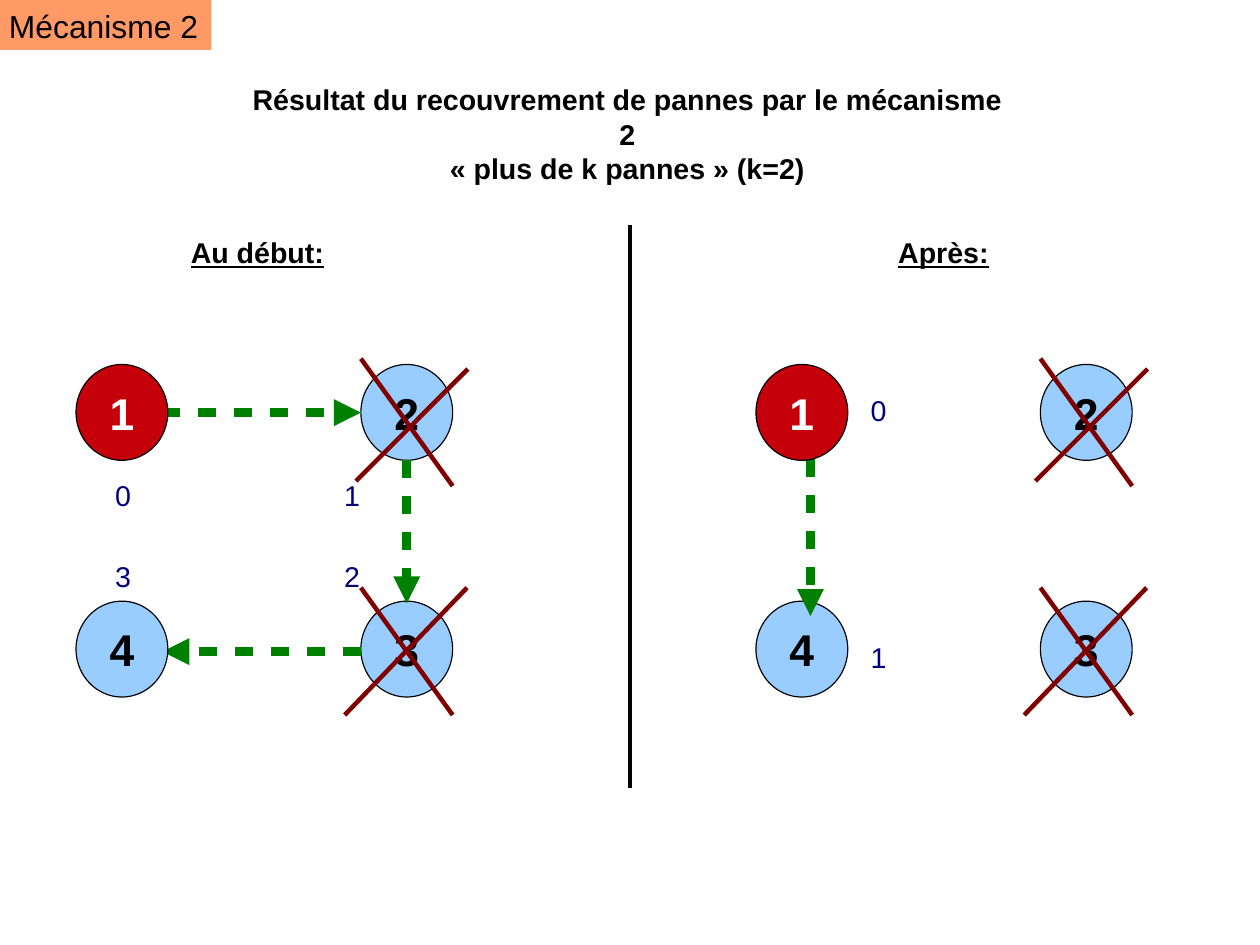
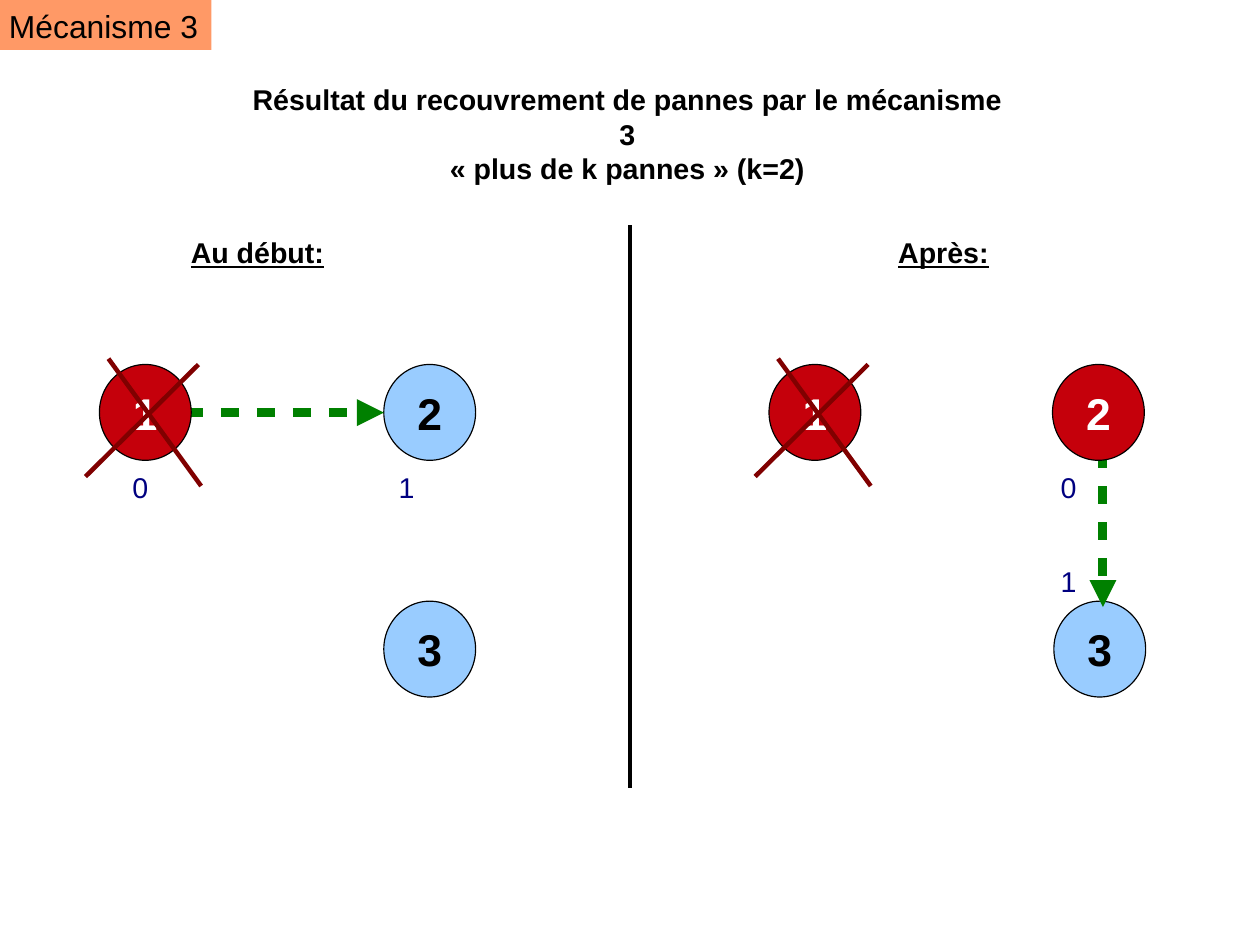
from lxml import etree
from pptx import Presentation
from pptx.dml.color import RGBColor
from pptx.enum.shapes import MSO_CONNECTOR, MSO_SHAPE
from pptx.enum.text import MSO_ANCHOR, MSO_AUTO_SIZE, PP_ALIGN
from pptx.oxml.ns import qn
from pptx.util import Cm, Pt

STRAIGHT = MSO_CONNECTOR.STRAIGHT
OVAL = MSO_SHAPE.OVAL
RECTANGLE = MSO_SHAPE.RECTANGLE
TOP = MSO_ANCHOR.TOP
MIDDLE = MSO_ANCHOR.MIDDLE
NO_AUTOFIT = MSO_AUTO_SIZE.NONE
LEFT = PP_ALIGN.LEFT
CENTER = PP_ALIGN.CENTER

BLACK = RGBColor(0x00, 0x00, 0x00)
WHITE = RGBColor(0xFF, 0xFF, 0xFF)
ORANGE = RGBColor(0xFF, 0x99, 0x66)
SKY = RGBColor(0x99, 0xCC, 0xFF)
RED = RGBColor(0xC5, 0x00, 0x0B)
MAROON = RGBColor(0x80, 0x00, 0x00)
GREEN = RGBColor(0x00, 0x80, 0x00)
NAVY = RGBColor(0x00, 0x00, 0x80)

FONT = "Arial"
NODE_WIDTH, NODE_HEIGHT = 2.04, 2.13
UPPER, LOWER = 8.1, 13.36

CROSS_1 = [(0.2, -0.13, 2.26, 2.7), (-0.31, 2.49, 2.2, 0)]
CROSS_2 = [(0, -0.13, 2.04, 2.7), (-0.11, 2.59, 2.38, 0.1)]
CROSS_3 = [(0, -0.3, 2.04, 2.53), (2.36, -0.3, -0.36, 2.53)]

MECHANISMS = [
    {
        "number": 2,
        "back_nodes": [
            ("4", 16.8, LOWER, SKY), ("3", 23.12, LOWER, SKY), ("2", 23.12, UPPER, SKY),
            ("3", 8.02, LOWER, SKY), ("2", 8.02, UPPER, SKY),
        ],
        "arrows": [
            (3.61, 9.17, 8.02, 9.17), (8.02, 14.48, 3.61, 14.48),
            (9.04, 10.23, 9.04, 13.41), (18.01, 10.21, 18.01, 13.69),
        ],
        "front_nodes": [
            ("1", 16.8, UPPER, RED), ("1", 1.69, UPPER, RED), ("4", 1.69, LOWER, SKY),
        ],
        "crosses": [
            (8.02, UPPER, CROSS_2), (8.02, LOWER, CROSS_3),
            (23.12, UPPER, CROSS_2), (23.12, LOWER, CROSS_3),
        ],
        "ranks": [
            ("0", 2.31, 10.49), ("1", 7.4, 10.49), ("3", 2.31, 12.29),
            ("2", 7.4, 12.29), ("0", 19.1, 8.61), ("1", 19.1, 14.1),
        ],
    },
    {
        "number": 3,
        "back_nodes": [
            ("2", 8.53, UPPER, SKY), ("3", 8.53, LOWER, SKY),
            ("3", 23.42, LOWER, SKY), ("1", 17.09, UPPER, RED),
        ],
        "arrows": [(4.11, 9.17, 8.53, 9.17), (24.51, 10.01, 24.51, 13.49)],
        "front_nodes": [("1", 2.21, UPPER, RED), ("2", 23.39, UPPER, RED)],
        "crosses": [(2.21, UPPER, CROSS_1), (17.09, UPPER, CROSS_1)],
        "ranks": [
            ("0", 2.69, 10.31), ("1", 8.61, 10.31),
            ("0", 23.32, 10.31), ("1", 23.32, 12.4),
        ],
    },
]


def write_text(shape, text, size=18, color=BLACK, bold=False, underline=False,
               align=LEFT, anchor=TOP):
    frame = shape.text_frame
    frame.text = text
    frame.word_wrap = False
    frame.auto_size = NO_AUTOFIT
    frame.vertical_anchor = anchor
    for paragraph in frame.paragraphs:
        paragraph.alignment = align
        font = paragraph.font
        font.name = FONT
        font.size = Pt(size)
        font.bold = bold
        font.underline = underline
        font.color.rgb = color


def draw_line(slide, ends, color, width=2.83, arrow=False):
    connector = slide.shapes.add_connector(STRAIGHT, *[Cm(value) for value in ends])
    connector.line.color.rgb = color
    connector.line.width = Pt(width)
    properties = connector._element.spPr
    if arrow:
        outline = properties.find(qn("a:ln"))
        dashes = etree.SubElement(outline, qn("a:custDash"))
        etree.SubElement(dashes, qn("a:ds"), d="200000", sp="200000")
        etree.SubElement(outline, qn("a:tailEnd"), type="triangle")
    etree.SubElement(properties, qn("a:effectLst"))


deck = Presentation()
deck.slide_width = Cm(28)
deck.slide_height = Cm(21)
title_only = deck.slide_layouts[5]

for mechanism in MECHANISMS:
    slide = deck.slides.add_slide(title_only)
    number = mechanism["number"]

    title = slide.shapes.title
    title.left, title.top, title.width, title.height = Cm(5.1), Cm(1.7), Cm(17.68), Cm(1.68)
    write_text(title, f"Résultat du recouvrement de pannes par le mécanisme {number}\n"
               "« plus de k pannes » (k=2)", bold=True, align=CENTER)

    tag = slide.shapes.add_shape(RECTANGLE, Cm(-0.1), Cm(-0.03), Cm(4.8), Cm(1.14))
    tag.shadow.inherit = False
    tag.fill.solid()
    tag.fill.fore_color.rgb = ORANGE
    tag.line.fill.background()
    tag.text_frame.margin_left = tag.text_frame.margin_right = Cm(0.3)
    tag.text_frame.margin_top = tag.text_frame.margin_bottom = Cm(0.18)
    write_text(tag, f"Mécanisme {number}", size=20)

    for heading, left, width in [("Au début:", 3.99, 3.48), ("Après:", 19.71, 2.51)]:
        heading_box = slide.shapes.add_textbox(Cm(left), Cm(5.1), Cm(width), Cm(0.97))
        write_text(heading_box, heading, bold=True, underline=True)
    draw_line(slide, (14, 5, 14, 17.5), BLACK)

    for layer in ("back_nodes", "front_nodes"):
        for name, left, top, color in mechanism[layer]:
            node = slide.shapes.add_shape(OVAL, Cm(left), Cm(top),
                                          Cm(NODE_WIDTH), Cm(NODE_HEIGHT))
            node.shadow.inherit = False
            node.fill.solid()
            node.fill.fore_color.rgb = color
            node.line.color.rgb = BLACK
            node.line.width = Pt(0)
            write_text(node, name, size=28, color=WHITE if color == RED else BLACK,
                       bold=True, align=CENTER, anchor=MIDDLE)
        if layer == "back_nodes":
            for ends in mechanism["arrows"]:
                draw_line(slide, ends, GREEN, width=5.67, arrow=True)

    for left, top, strokes in mechanism["crosses"]:
        for x1, y1, x2, y2 in strokes:
            draw_line(slide, (left + x1, top + y1, left + x2, top + y2), MAROON)

    for rank, left, top in mechanism["ranks"]:
        rank_box = slide.shapes.add_textbox(Cm(left), Cm(top), Cm(0.86), Cm(0.97))
        write_text(rank_box, rank, color=NAVY)

deck.save("out.pptx")
